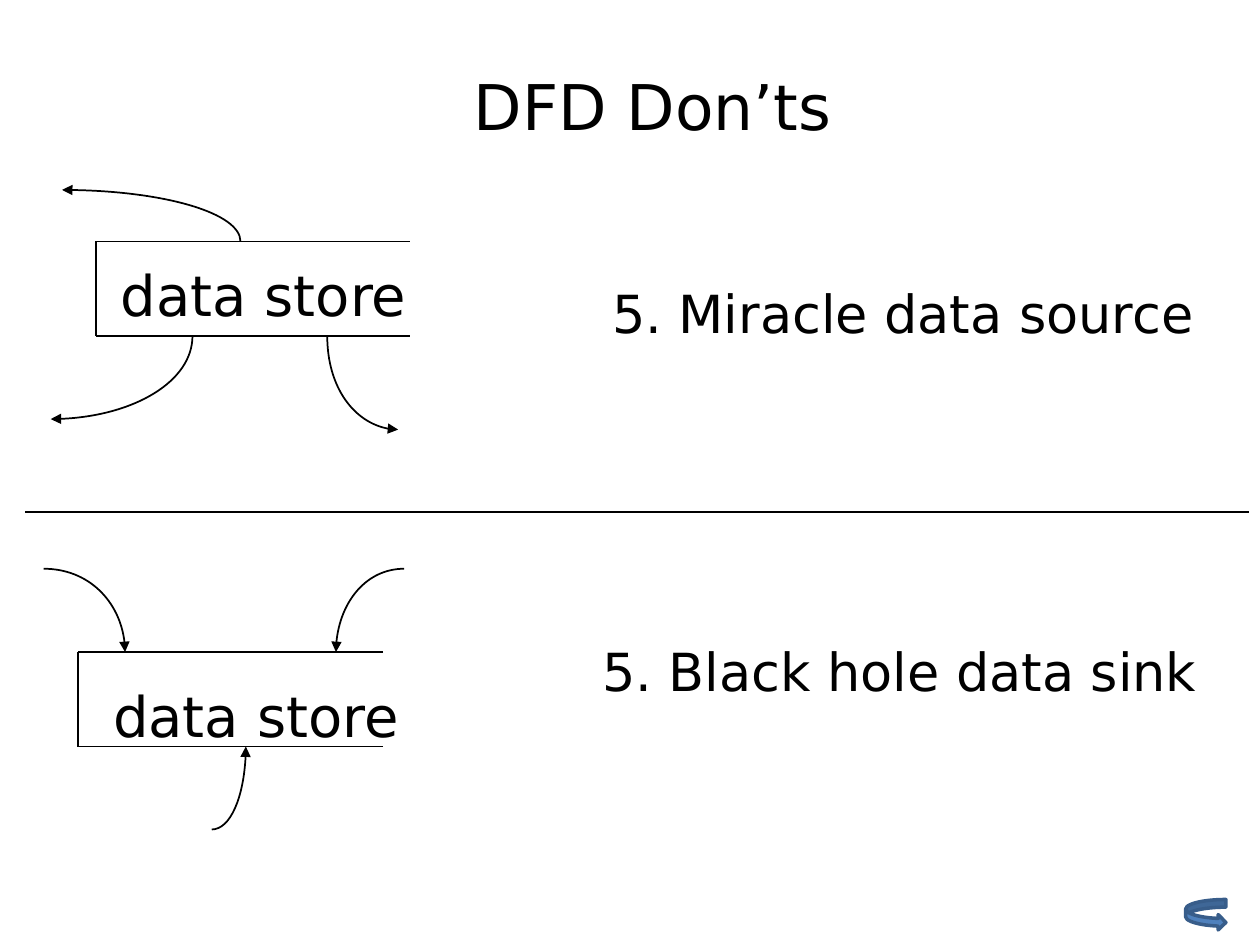
from lxml import etree
from pptx import Presentation
from pptx import util as u
from pptx.dml import color
from pptx.enum import shapes, text
from pptx.oxml import ns

COLORS = {"ink": "000000", "arrow": "4F81BD", "arrow_edge": "385D8A"}
FONT = "DejaVu Sans"
ARC = 0.55


def rgb(name):
    return color.RGBColor.from_string(COLORS[name])


def style_line(shape, name="ink", width=1):
    shape.line.color.rgb = rgb(name)
    shape.line.width = u.Pt(width)


def add_text(page, words, left, top, width, height, size, centred=False):
    box = page.shapes.add_textbox(u.Pt(left), u.Pt(top), u.Pt(width), u.Pt(height))
    frame = box.text_frame
    frame.word_wrap = True
    frame.text = words
    para = frame.paragraphs[0]
    if centred:
        frame.vertical_anchor = text.MSO_ANCHOR.MIDDLE
        para.alignment = text.PP_ALIGN.CENTER
    span = para.runs[0]
    span.font.name = FONT
    span.font.size = u.Pt(size)
    span.font.color.rgb = rgb("ink")


def add_line(page, x1, y1, x2, y2):
    line = page.shapes.add_connector(
        shapes.MSO_CONNECTOR.STRAIGHT, u.Pt(x1), u.Pt(y1), u.Pt(x2), u.Pt(y2))
    style_line(line)
    etree.SubElement(line._element.spPr, ns.qn("a:effectLst"))


def add_flow(page, store_x, store_y, far_x, far_y, arrow_end):
    builder = page.shapes.build_freeform(u.Pt(store_x), u.Pt(store_y))
    builder.add_line_segments([(u.Pt(far_x), u.Pt(far_y))], close=False)
    flow = builder.convert_to_shape()
    flow.shadow.inherit = False
    flow.fill.background()
    style_line(flow)
    bend_quarter(flow)
    etree.SubElement(flow.line._get_or_add_ln(), ns.qn(f"a:{arrow_end}"), type="triangle")


def bend_quarter(flow):
    outline = flow._element.spPr.find(".//" + ns.qn("a:path"))
    start, end = [(int(point.get("x")), int(point.get("y")))
                  for point in outline.iter(ns.qn("a:pt"))]
    leave = (start[0], start[1] + ARC * (end[1] - start[1]))
    arrive = (end[0] + ARC * (start[0] - end[0]), end[1])
    outline.remove(outline.find(ns.qn("a:lnTo")))
    curve = etree.SubElement(outline, ns.qn("a:cubicBezTo"))
    for x, y in (leave, arrive, end):
        etree.SubElement(curve, ns.qn("a:pt"), x=str(round(x)), y=str(round(y)))


def add_store(page, left, top, right, bottom):
    add_line(page, left, top, left, bottom)
    for y in (top, bottom):
        add_line(page, right, y, left, y)


def add_return_arrow(page):
    arrow = page.shapes.add_shape(
        shapes.MSO_SHAPE.CURVED_RIGHT_ARROW,
        u.Pt(677.5), u.Pt(514), u.Pt(23), u.Pt(17.5))
    arrow.shadow.inherit = False
    arrow.fill.solid()
    arrow.fill.fore_color.rgb = rgb("arrow")
    style_line(arrow, "arrow_edge", 2)


def main():
    deck = Presentation()
    deck.slide_width, deck.slide_height = u.Pt(720), u.Pt(540)
    page = deck.slides.add_slide(deck.slide_layouts[6])

    add_text(page, "DFD Don’ts", 54, 24, 638, 72, 36, centred=True)
    add_line(page, 14.4, 292.5, 713.5, 292.5)

    add_store(page, 55, 138, 234, 192)
    add_text(page, "data store", 62, 145.5, 219, 45.4, 32)
    for flow in ((110, 192, 29, 239.5), (187, 192, 227.5, 245.5), (137.5, 138, 35.5, 108.5)):
        add_flow(page, *flow, "tailEnd")
    add_text(page, "5. Miracle data source", 342.7, 157, 363, 43.2, 30)

    add_store(page, 44.6, 372.6, 219, 426.6)
    add_text(page, "data store", 57.6, 386, 191.5, 45.4, 32)
    for flow in ((140.5, 426.6, 121, 474), (71.5, 372.6, 25, 325), (192, 372.6, 231, 325)):
        add_flow(page, *flow, "headEnd")
    add_text(page, "5. Black hole data sink", 337, 361.5, 361, 43.2, 30)

    add_return_arrow(page)
    deck.save("out.pptx")


if __name__ == "__main__":
    main()
